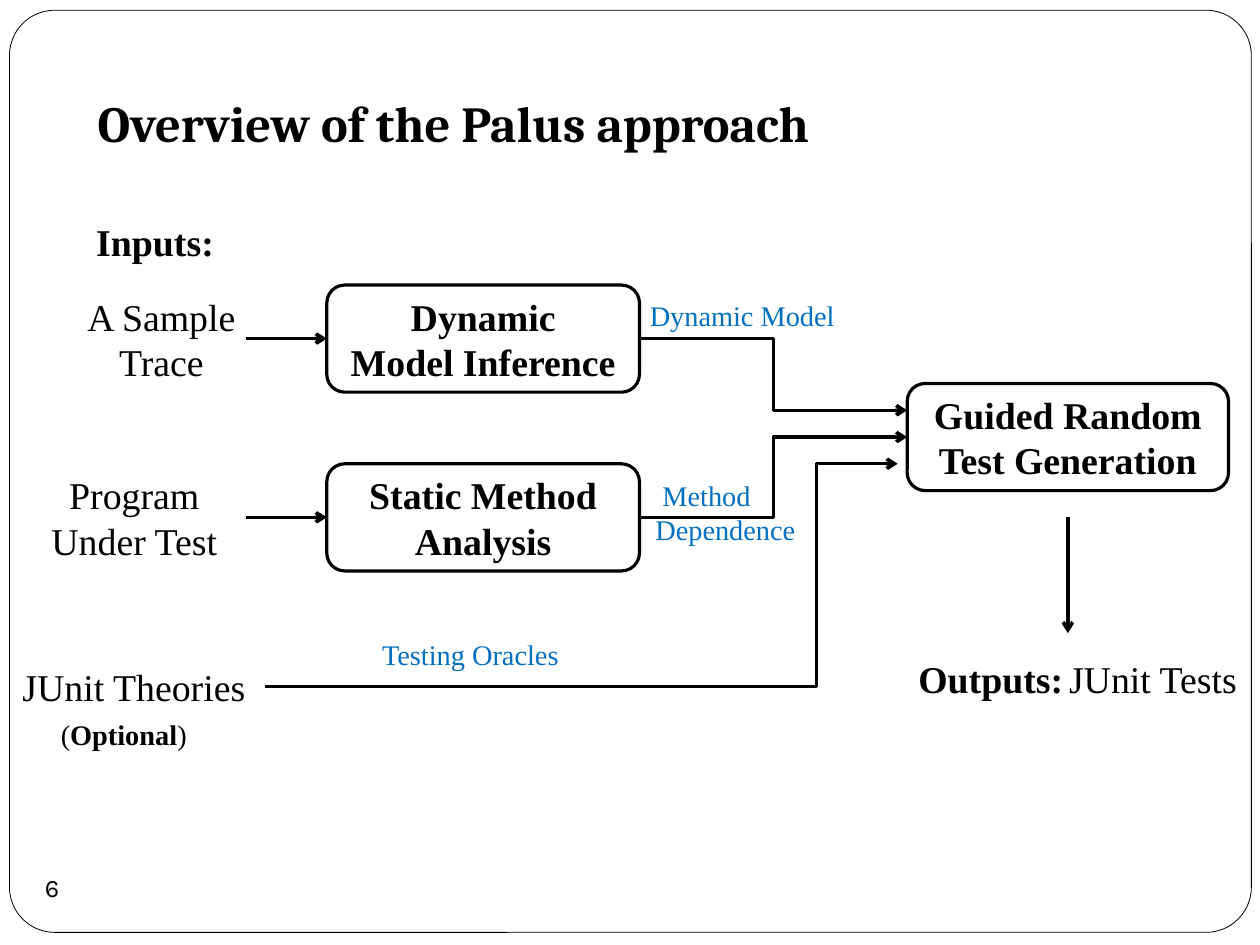
from lxml import etree
from pptx import Presentation
from pptx.dml.color import RGBColor
from pptx.enum.shapes import MSO_CONNECTOR, MSO_SHAPE
from pptx.enum.text import MSO_ANCHOR, PP_ALIGN
from pptx.oxml.ns import qn
from pptx.util import Pt

BLACK = RGBColor(0x00, 0x00, 0x00)
WHITE = RGBColor(0xFF, 0xFF, 0xFF)
BLUE = RGBColor(0x00, 0x70, 0xC0)
ROUNDED = MSO_SHAPE.ROUNDED_RECTANGLE
ELBOW, STRAIGHT = MSO_CONNECTOR.ELBOW, MSO_CONNECTOR.STRAIGHT
LEFT, CENTER = PP_ALIGN.LEFT, PP_ALIGN.CENTER
TOP, MIDDLE, BOTTOM = MSO_ANCHOR.TOP, MSO_ANCHOR.MIDDLE, MSO_ANCHOR.BOTTOM

SERIF = "Times New Roman"
PLAIN = {"name": SERIF, "size": Pt(24), "bold": False}
STRONG = {**PLAIN, "bold": True}
NOTE = {**PLAIN, "size": Pt(18)}
TITLE = {"name": "Cambria", "size": Pt(32), "bold": True}
NUMBER = {"name": "Karla", "size": Pt(16), "bold": False}

# Rows of the flow, by their centre line
TRACE_Y, PROGRAM_Y, THEORIES_Y = 215, 328.5, 436
GENERATION_Y = 277.5
STAGE_X, STAGE_W, STAGE_H = 207.5, 198.5, 68
GENERATION_X, GENERATION_W = 576, 204
STAGE_RIGHT = STAGE_X + STAGE_W
GENERATION_MID = GENERATION_X + GENERATION_W / 2
TERM_H = 57

TITLE_TEXT = "Overview of the Palus approach"
STAGES = [  # lines, left, centre y, width
    (["Dynamic", "Model Inference"], STAGE_X, TRACE_Y, STAGE_W),
    (["Static Method Analysis"], STAGE_X, PROGRAM_Y, STAGE_W),
    (["Guided Random", "Test Generation"], GENERATION_X, GENERATION_Y, GENERATION_W),
]
TERMS = [  # text, left, centre y, width
    ("A Sample Trace", 31.5, TRACE_Y, 142),
    ("Program Under Test", 20, PROGRAM_Y, 130.5),
    ("JUnit Theories", 3, THEORIES_Y, 164),
    ("JUnit Tests", 661, 430.5, 142),
]
HEADINGS = [("Inputs:", 54, 135.5, 113), ("Outputs:", 576, 413, 114)]
FLOW_LABELS = [  # lines, left, top, width, height
    (["Dynamic Model"], 405.5, 186, 133, 29),
    ([" Method", "Dependence"], 409, 300, 104.5, 51),
    (["Testing Oracles"], 235.5, 401, 128, 29),
]
ARROWS = [  # kind, start, end, bend in thousandths of the width
    (STRAIGHT, (156, TRACE_Y), (STAGE_X, TRACE_Y), None),
    (STRAIGHT, (156, PROGRAM_Y), (STAGE_X, PROGRAM_Y), None),
    (STRAIGHT, (GENERATION_MID, 328.5), (GENERATION_MID, 402), None),
    (ELBOW, (STAGE_RIGHT, TRACE_Y), (GENERATION_X, 260.5), 500),
    (ELBOW, (STAGE_RIGHT, PROGRAM_Y), (GENERATION_X, 277.5), 500),
    (ELBOW, (168, THEORIES_Y), (570, 294.5), 872),
]


def set_format(target, values):
    for attribute, value in values.items():
        setattr(target, attribute, value)


def write(shape, lines, style, color=BLACK, align=LEFT, anchor=TOP, wrap=True):
    """Fill a shape with paragraphs; a line is a string or a list of (text, bold)."""
    frame = shape.text_frame
    set_format(frame, {"word_wrap": wrap, "vertical_anchor": anchor})
    for index, line in enumerate(lines):
        paragraph = frame.add_paragraph() if index else frame.paragraphs[0]
        paragraph.alignment = align
        parts = [(line, style["bold"])] if isinstance(line, str) else line
        for text, bold in parts:
            run = paragraph.add_run()
            run.text = text
            set_format(run.font, {**style, "bold": bold})
            run.font.color.rgb = color


def add_label(slide, place, lines, style, **layout):
    label = slide.shapes.add_textbox(*map(Pt, place))
    write(label, lines, style, **layout)
    return label


def add_outline(slide, place, weight, rounding):
    outline = slide.shapes.add_shape(ROUNDED, *map(Pt, place))
    outline.adjustments[0] = rounding
    outline.shadow.inherit = False
    outline.fill.solid()
    outline.fill.fore_color.rgb = WHITE
    outline.line.color.rgb = BLACK
    outline.line.width = Pt(weight)
    return outline


def add_arrow(slide, kind, start, end, bend):
    arrow = slide.shapes.add_connector(kind, *map(Pt, start + end))
    arrow.line.color.rgb = BLACK
    arrow.line.width = Pt(2.25)
    properties = arrow.line._get_or_add_ln()
    etree.SubElement(properties, qn("a:tailEnd"), type="arrow")
    shape_properties = arrow._element.spPr
    etree.SubElement(shape_properties, qn("a:effectLst"))
    if bend is not None:
        guides = shape_properties.find(qn("a:prstGeom")).get_or_add_avLst()
        etree.SubElement(guides, qn("a:gd"), name="adj1", fmla=f"val {bend * 100}")


def main():
    deck = Presentation()
    deck.slide_width, deck.slide_height = Pt(800), Pt(600)
    slide = deck.slides.add_slide(deck.slide_layouts[5])
    title = slide.shapes.title

    frame = add_outline(slide, (6, 6.5, 788.5, 585.5), 0.5, 0.049)
    title._element.addprevious(frame._element)
    set_format(title, {"left": Pt(54), "top": Pt(5), "width": Pt(680), "height": Pt(100)})
    write(title, [TITLE_TEXT], TITLE, anchor=BOTTOM)
    set_format(title.text_frame, {"margin_left": Pt(8), "margin_right": Pt(8),
                                  "margin_top": Pt(4), "margin_bottom": Pt(8)})

    for lines, left, middle, width in STAGES:
        stage = add_outline(slide, (left, middle - STAGE_H / 2, width, STAGE_H), 2, 0.167)
        write(stage, lines, STRONG, align=CENTER, anchor=MIDDLE)
    for term, left, middle, width in TERMS:
        add_label(slide, (left, middle - TERM_H / 2, width, TERM_H), [term], PLAIN,
                  align=CENTER, anchor=MIDDLE)
    for heading, left, top, width in HEADINGS:
        add_label(slide, (left, top, width, 36.5), [heading], STRONG)
    for lines, *place in FLOW_LABELS:
        add_label(slide, place, lines, NOTE, color=BLUE, wrap=False)
    add_label(slide, (31.5, 452, 209.5, 29),
              [[("(", False), ("Optional", True), (")", False)]], NOTE)
    for arrow in ARROWS:
        add_arrow(slide, *arrow)

    number = add_label(slide, (13, 543.5, 40, 40), ["6"], NUMBER,
                       align=CENTER, anchor=MIDDLE)
    set_format(number.text_frame, dict.fromkeys(
        ("margin_left", "margin_right", "margin_top", "margin_bottom"), 0))
    deck.save("out.pptx")


if __name__ == "__main__":
    main()
